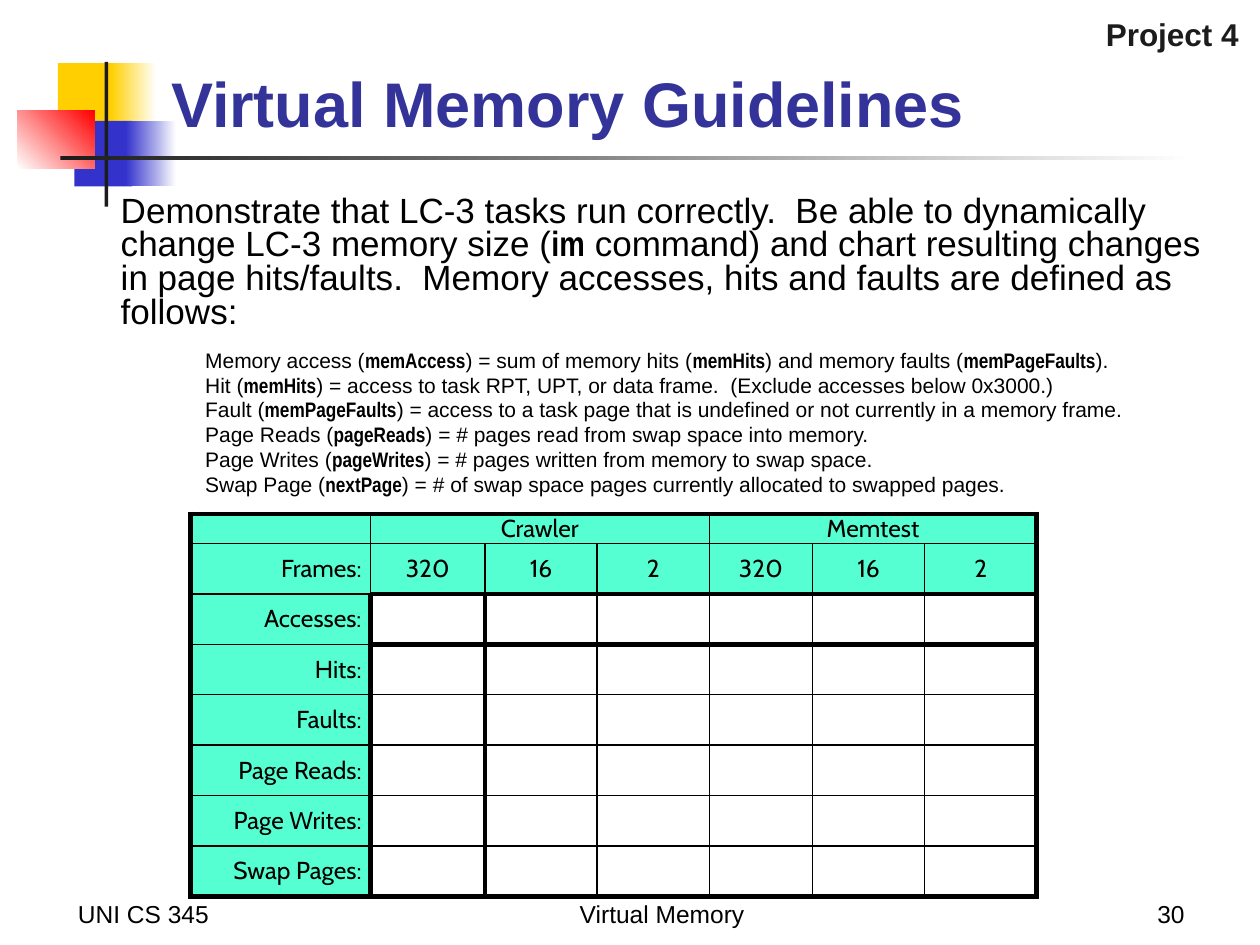
"""Build the Virtual Memory Guidelines slide with its results table."""
from lxml import etree
from pptx import Presentation
from pptx.dml.color import RGBColor
from pptx.enum.shapes import MSO_SHAPE
from pptx.enum.text import MSO_ANCHOR, PP_ALIGN
from pptx.oxml.ns import qn
from pptx.util import Inches, Pt

RECT = MSO_SHAPE.RECTANGLE
LEFT, CENTER, RIGHT = PP_ALIGN.LEFT, PP_ALIGN.CENTER, PP_ALIGN.RIGHT
TOP, MIDDLE, BOTTOM = MSO_ANCHOR.TOP, MSO_ANCHOR.MIDDLE, MSO_ANCHOR.BOTTOM
BLACK = RGBColor(0, 0, 0)
WHITE = RGBColor(0xFF, 0xFF, 0xFF)
INK = RGBColor(0x1C, 0x1C, 0x1C)
YELLOW = RGBColor(0xFF, 0xCF, 0x01)
BLUE = RGBColor(0x33, 0x33, 0xCC)
RED = RGBColor(0xFF, 0, 0)
NAVY = RGBColor(0x33, 0x33, 0x99)
MINT = RGBColor(0x56, 0xFF, 0xD2)
THIN, THICK = Pt(1), Pt(3)


def write(p, text, size=14, font="Arial", color=BLACK, bold=False, align=LEFT):
    p.alignment = align
    for i, part in enumerate(text.split("*")):
        r = p.add_run()
        r.text = part
        r.font.size = Pt(size)
        r.font.name = "Arial Narrow" if i % 2 else font
        r.font.bold = bold or i % 2 == 1
        r.font.color.rgb = color


def add_border(cell, side, width):
    ln = etree.SubElement(cell._tc.get_or_add_tcPr(), qn("a:ln" + side), w=str(width))
    fill = etree.SubElement(ln, qn("a:solidFill"))
    etree.SubElement(fill, qn("a:srgbClr"), val=str(BLACK))


prs = Presentation()
prs.slide_width, prs.slide_height = Inches(10), Inches(7.5)
s = prs.slides.add_slide(prs.slide_layouts[6])

decor = [
    (0.46, 0.5, 0.48, 0.52, [YELLOW], 0),
    (0.88, 0.5, 0.36, 0.52, [YELLOW, WHITE], 0),
    (0.59, 0.96, 0.46, 0.52, [BLUE], 0),
    (1, 0.96, 0.4, 0.52, [BLUE, WHITE], 0),
    (0.14, 0.88, 0.61, 0.46, [WHITE, RED], 45),
    (0.83, 0.49, 0.03, 1.15, [INK], 0),
    (0.48, 1.24, 9, 0.03, [INK, WHITE], 0),
]
for *box, colors, angle in decor:
    sp = s.shapes.add_shape(RECT, *map(Inches, box))
    sp.shadow.inherit = False
    sp.line.fill.background()
    if len(colors) == 1:
        sp.fill.solid()
        sp.fill.fore_color.rgb = colors[0]
    else:
        sp.fill.gradient()
        sp.fill.gradient_angle = angle
        for stop, color in zip(sp.fill.gradient_stops, colors):
            stop.color.rgb = color

labels = [
    ((1.26, 0.21, 8.52, 0.95), BOTTOM, "Virtual Memory Guidelines",
     dict(size=36, color=NAVY, bold=True)),
    ((0.52, 6.92, 2.08, 0.5), BOTTOM, "UNI CS 345", {}),
    ((3.67, 6.92, 3.17, 0.5), BOTTOM, "Virtual Memory", dict(align=CENTER)),
    ((7.42, 6.92, 2.08, 0.5), BOTTOM, "30", dict(align=RIGHT)),
    ((6.35, 0.07, 3.58, 0.4), TOP, "Project 4",
     dict(size=18, color=INK, bold=True, align=RIGHT)),
]
for box, anchor, text, style in labels:
    tf = s.shapes.add_textbox(*map(Inches, box)).text_frame
    tf.word_wrap = True
    tf.vertical_anchor = anchor
    write(tf.paragraphs[0], text, **style)

intro = ("Demonstrate that LC-3 tasks run correctly.  Be able to dynamically change LC-3 "
         "memory size (*im* command) and chart resulting changes in page hits/faults.  "
         "Memory accesses, hits and faults are defined as follows:")
definitions = [
    "Memory access (*memAccess*) = sum of memory hits (*memHits*) and memory faults (*memPageFaults*).",
    "Hit (*memHits*) = access to task RPT, UPT, or data frame.  (Exclude accesses below 0x3000.)",
    "Fault (*memPageFaults*) = access to a task page that is undefined or not currently in a memory frame.",
    "Page Reads (*pageReads*) = # pages read from swap space into memory.",
    "Page Writes (*pageWrites*) = # pages written from memory to swap space.",
    "Swap Page (*nextPage*) = # of swap space pages currently allocated to swapped pages.",
]
tf = s.shapes.add_textbox(*map(Inches, (0.86, 1.51, 8.95, 2.88))).text_frame
tf.word_wrap = True
for i, text in enumerate([intro] + definitions):
    p = tf.add_paragraph() if i else tf.paragraphs[0]
    write(p, text, size=12 if i else 20)
    p.line_spacing = 0.8
    p.space_before = Pt({0: 4.6, 1: 12}.get(i, 2.76))
    if i:
        p._p.get_or_add_pPr().set("marL", str(Inches(0.67)))

col_widths = [1.43, 0.91, 0.89, 0.89, 0.82, 0.89, 0.89]
frames = ["320", "16", "2"]
rows = [["", "Crawler", "", "", "Memtest", "", ""], ["Frames:"] + frames * 2]
rows += [[name] + [""] * 6 for name in
         ("Accesses:", "Hits:", "Faults:", "Page Reads:", "Page Writes:", "Swap Pages:")]
n_rows, n_cols = len(rows), len(col_widths)
frame = s.shapes.add_table(n_rows, n_cols, *map(Inches, (1.51, 4.08, 6.72, 3.03)))
table = frame.table
table.first_row = table.horz_banding = False
for col, width in zip(table.columns, col_widths):
    col.width = Inches(width)
for r, row in enumerate(table.rows):
    row.height = Inches(0.4 if r else 0.23)
for c in (1, 4):
    table.cell(0, c).merge(table.cell(0, c + 2))

for r, texts in enumerate(rows):
    for c, text in enumerate(texts):
        cell = table.cell(r, c)
        cell.vertical_anchor = MIDDLE
        cell.margin_left = cell.margin_right = Inches(0.07)
        cell.margin_top = cell.margin_bottom = 0
        p = cell.text_frame.paragraphs[0]
        p.font.size = Pt(14)
        if text:
            write(p, text, font="Cabin", align=CENTER if c else RIGHT)
        else:
            etree.SubElement(p._p, qn("a:endParaRPr"), sz="1400")
        end = c + (cell.span_width if cell.is_merge_origin else 1)
        for side, edge in (("L", c), ("R", end)):
            thick = edge in (0, n_cols) or (r >= 2 and edge in (1, 2))
            add_border(cell, side, THICK if thick else THIN)
        for side, edge in (("T", r), ("B", r + 1)):
            thick = edge in (0, n_rows) or (c >= 1 and edge in (2, 3))
            add_border(cell, side, THICK if thick else THIN)
        if r < 2 or c == 0:
            cell.fill.solid()
            cell.fill.fore_color.rgb = MINT
        else:
            cell.fill.background()

prs.save("out.pptx")
